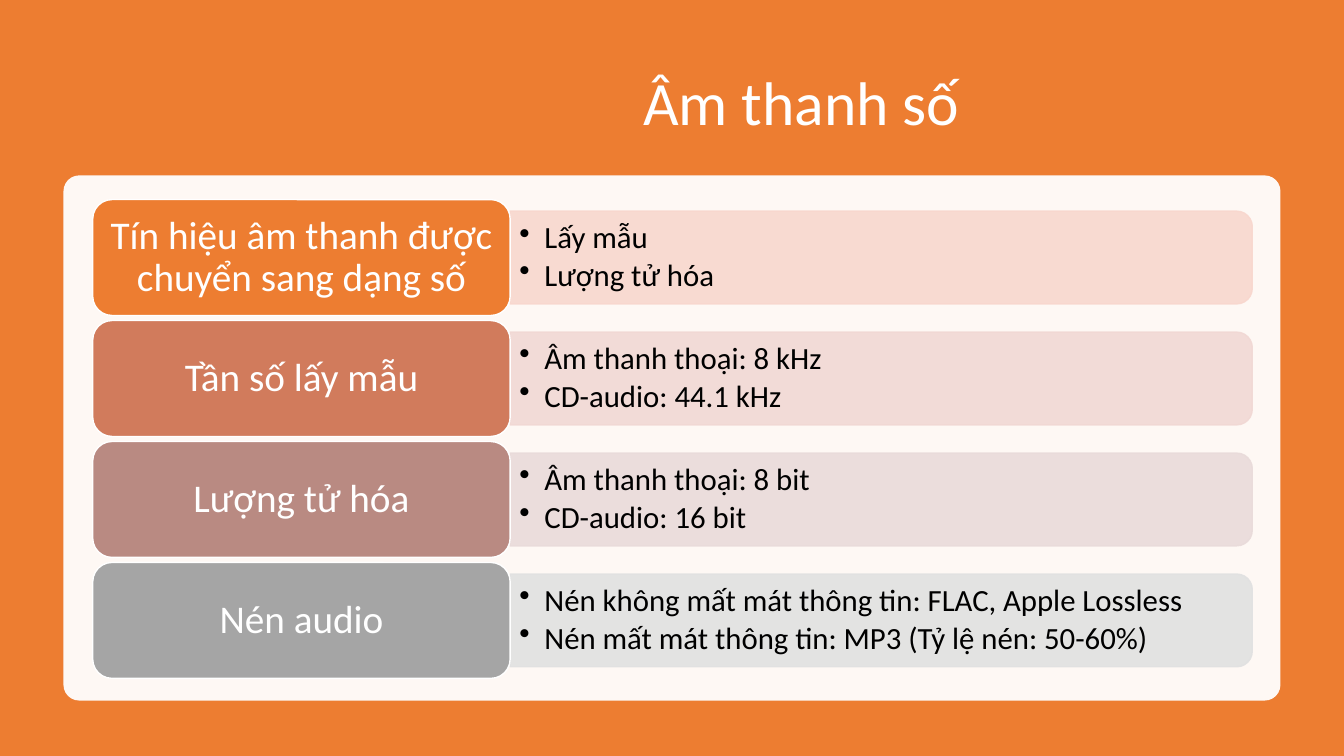
from lxml import etree
from pptx import Presentation
from pptx.dml.color import RGBColor
from pptx.enum.shapes import MSO_SHAPE
from pptx.enum.text import MSO_ANCHOR, PP_ALIGN
from pptx.oxml.ns import qn
from pptx.util import Inches, Pt

RECT = MSO_SHAPE.RECTANGLE
ROUND = MSO_SHAPE.ROUNDED_RECTANGLE
ROUND_TOP = MSO_SHAPE.ROUND_2_SAME_RECTANGLE
MIDDLE = MSO_ANCHOR.MIDDLE
LEFT, CENTER = PP_ALIGN.LEFT, PP_ALIGN.CENTER

ROWS = [
    ("Tín hiệu âm thanh được chuyển sang dạng số", "ED7D31", "F8D7CE",
     ["Lấy mẫu", "Lượng tử hóa"]),
    ("Tần số lấy mẫu", "D17B5C", "F1D8D4",
     ["Âm thanh thoại: 8 kHz", "CD-audio: 44.1 kHz"]),
    ("Lượng tử hóa", "B98A82", "E9DBDA",
     ["Âm thanh thoại: 8 bit", "CD-audio: 16 bit"]),
    ("Nén audio", "A5A5A5", "E1E1E1",
     ["Nén không mất mát thông tin: FLAC, Apple Lossless",
      "Nén mất mát thông tin: MP3 (Tỷ lệ nén: 50-60%)"]),
]
ROW_TOP, ROW_STEP = 1.98, 1.2
LABEL_LEFT, LABEL_W, LABEL_H = 0.92, 4.14, 1.15
BAR_LEFT, BAR_W, BAR_H = LABEL_LEFT + LABEL_W, 7.36, 0.92
BULLETS_W, BULLETS_H = 7.32, 0.83


def rgb(color):
    return RGBColor.from_string(color)


def paint(fill, parent, color, alpha=100):
    """Fill with a solid colour; alpha is the opacity in percent."""
    fill.solid()
    fill.fore_color.rgb = rgb(color)
    if alpha < 100:
        clr = parent.find(qn("a:solidFill"))[0]
        etree.SubElement(clr, qn("a:alpha")).set("val", str(alpha * 1000))


def add_bullet(p, indent=0.25):
    pPr = p._p.get_or_add_pPr()
    pPr.set("marL", str(Inches(indent)))
    pPr.set("indent", str(-Inches(indent)))
    etree.SubElement(pPr, qn("a:buChar")).set("char", "•")


class Deck:
    font = "Calibri"

    def __init__(self):
        self.prs = Presentation()
        self.prs.slide_width, self.prs.slide_height = Inches(13.33), Inches(7.5)
        self.s = self.prs.slides.add_slide(self.prs.slide_layouts[6])

    def shape(self, kind, x, y, w, h, fill, alpha=100, line=None, adj=None, rotation=0):
        sp = self.s.shapes.add_shape(kind, Inches(x), Inches(y), Inches(w), Inches(h))
        sp.shadow.inherit = False
        sp.rotation = rotation
        spPr = sp._element.spPr
        paint(sp.fill, spPr, fill, alpha)
        if line:
            sp.line.width = Pt(1)
            paint(sp.line.fill, spPr.find(qn("a:ln")), line, alpha)
        else:
            sp.line.fill.background()
        if adj is not None:
            sp.adjustments[0] = adj
        return sp

    def set_text(self, sp, lines, size, color="FFFFFF", align=CENTER, bullets=False,
                 after=0, inset=(0.1, 0.05)):
        tf = sp.text_frame
        tf.word_wrap = True
        tf.vertical_anchor = MIDDLE
        tf.margin_left = tf.margin_right = Inches(inset[0])
        tf.margin_top = tf.margin_bottom = Inches(inset[1])
        for i, text in enumerate(lines):
            p = tf.add_paragraph() if i else tf.paragraphs[0]
            p.alignment = align
            p.line_spacing = 0.9
            p.space_after = Pt(after)
            if bullets:
                add_bullet(p)
            r = p.add_run()
            r.text = text
            r.font.name, r.font.size = self.font, Pt(size)
            r.font.color.rgb = rgb(color)

    def text(self, x, y, w, h, lines, size, **fmt):
        sp = self.s.shapes.add_textbox(Inches(x), Inches(y), Inches(w), Inches(h))
        self.set_text(sp, lines, size, **fmt)

    def row(self, top, label, color, tint, points):
        """Draw a label block with its tinted bar of bullet points."""
        middle = top + LABEL_H / 2
        # The bar is an upright shape turned a quarter, rounded on its right end
        self.shape(ROUND_TOP, BAR_LEFT + (BAR_W - BAR_H) / 2, middle - BAR_W / 2,
                   BAR_H, BAR_W, tint, alpha=90, line=tint, rotation=90)
        self.text(BAR_LEFT, middle - BULLETS_H / 2, BULLETS_W, BULLETS_H, points, 22,
                  color="000000", align=LEFT, bullets=True, after=3.3, inset=(0.09, 0.05))
        block = self.shape(ROUND, LABEL_LEFT, top, LABEL_W, LABEL_H, color, line="FFFFFF")
        self.set_text(block, [label], 28, inset=(0.12, 0.06))


def main():
    deck = Deck()
    deck.shape(RECT, 0, 0, 13.33, 7.5, "ED7D31")
    deck.text(3.48, 0.5, 8.94, 1.1, ["Âm thanh số"], 44)
    deck.shape(ROUND, 0.63, 1.74, 12.07, 5.21, "FFFFFF", alpha=95, adj=0.03)
    for i, row in enumerate(ROWS):
        deck.row(ROW_TOP + i * ROW_STEP, *row)
    deck.prs.save("out.pptx")


if __name__ == "__main__":
    main()
